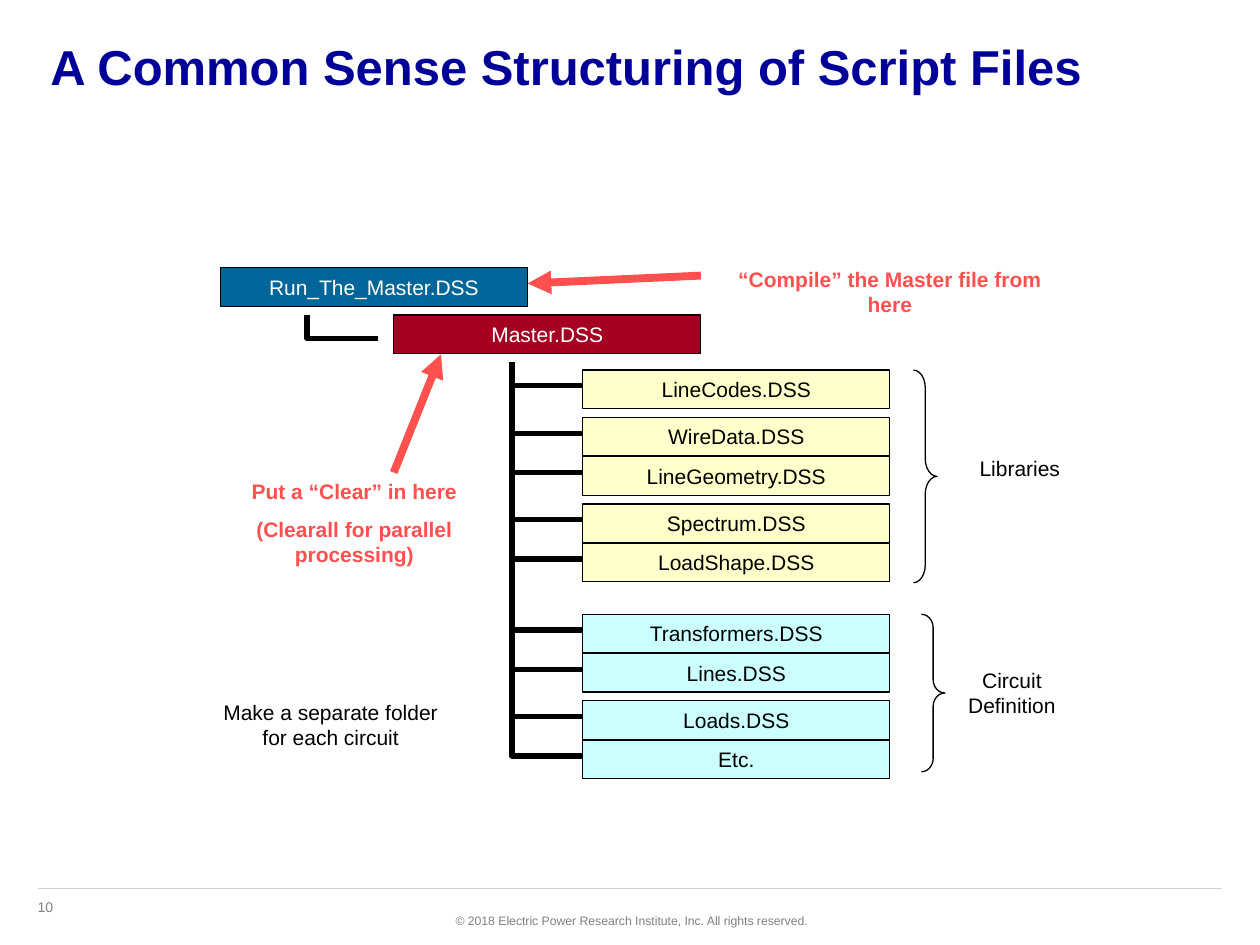
from lxml import etree
from pptx import Presentation
from pptx.dml.color import RGBColor
from pptx.enum.shapes import MSO_CONNECTOR as CONNECTOR, MSO_SHAPE as SHAPE
from pptx.enum.text import MSO_ANCHOR as ANCHOR, MSO_AUTO_SIZE as AUTO_SIZE, PP_ALIGN as ALIGN
from pptx.oxml.ns import qn
from pptx.util import Pt

BLACK, WHITE, GREY, CORAL = "000000", "FFFFFF", "808080", "FF5050"
LIBRARY_FILL, CIRCUIT_FILL = "FFFFCC", "CCFFFF"

BOX_WIDTH, BOX_HEIGHT = 175.5, 22
FILE_LEFT, TRUNK_LEFT, TRUNK_TOP = 333, 292.5, 207
JOINT_OFFSET = 9  # from the top of a file box to its branch

LIBRARY_FILES = [
    ("LineCodes.DSS", 211.5),
    ("WireData.DSS", 238.5),
    ("LineGeometry.DSS", 261),
    ("Spectrum.DSS", 288),
    ("LoadShape.DSS", 310.5),
]
CIRCUIT_FILES = [
    ("Transformers.DSS", 351),
    ("Lines.DSS", 373.5),
    ("Loads.DSS", 400.5),
    ("Etc.", 423),
]


def rgb(value):
    return RGBColor.from_string(value)


def set_line(shape, color, width):
    shape.line.color.rgb = rgb(color)
    shape.line.width = Pt(width)


def write(frame, text, color, size=12, bold=False, align=ALIGN.CENTER):
    """Fill a text frame; each line of the text becomes a paragraph, \\v a line break."""
    for index, content in enumerate(text.split("\n")):
        paragraph = frame.add_paragraph() if index else frame.paragraphs[0]
        paragraph.alignment = align
        paragraph.space_before = Pt(7 if index else 0)
        for part_index, part in enumerate(content.split("\v")):
            if part_index:
                paragraph.add_line_break()
            run = paragraph.add_run()
            run.text = part
            run.font.name = "Arial"
            run.font.size = Pt(size)
            run.font.bold = bold
            run.font.color.rgb = rgb(color)


def add_title(slide, text):
    title = slide.shapes.title
    title.left, title.top, title.width, title.height = Pt(21.6), Pt(14.4), Pt(676.8), Pt(57.6)
    frame = title.text_frame
    frame.auto_size = AUTO_SIZE.NONE
    frame.vertical_anchor = ANCHOR.TOP
    frame.margin_top = Pt(6.5)
    write(frame, text, "000099", size=28, bold=True, align=ALIGN.LEFT)


def add_label(slide, text, left, top, width, height, color=BLACK, wrap=True, **style):
    frame = slide.shapes.add_textbox(Pt(left), Pt(top), Pt(width), Pt(height)).text_frame
    frame.word_wrap = wrap
    write(frame, text, color, **style)


def add_file_box(slide, name, left, top, fill, color=BLACK):
    box = slide.shapes.add_shape(SHAPE.RECTANGLE, Pt(left), Pt(top), Pt(BOX_WIDTH), Pt(BOX_HEIGHT))
    box.shadow.inherit = False
    box.fill.solid()
    box.fill.fore_color.rgb = rgb(fill)
    set_line(box, BLACK, 0.75)
    box.text_frame.vertical_anchor = ANCHOR.MIDDLE
    write(box.text_frame, name, color)


def add_brace(slide, left, top, height, curve):
    brace = slide.shapes.add_shape(SHAPE.RIGHT_BRACE, Pt(left), Pt(top), Pt(13.5), Pt(height))
    brace.shadow.inherit = False
    brace.adjustments[0] = curve
    brace.fill.background()
    set_line(brace, BLACK, 0.75)


def add_straight(slide, start, end, color, width, arrow=False):
    line = slide.shapes.add_connector(CONNECTOR.STRAIGHT, *map(Pt, (*start, *end)))
    set_line(line, color, width)
    if arrow:
        etree.SubElement(line.line._get_or_add_ln(), qn("a:tailEnd"), type="triangle")
    etree.SubElement(line._element.spPr, qn("a:effectLst"))


def add_elbow(slide, left, top, bottom, right):
    """Draw a branch that runs down and then to the right."""
    builder = slide.shapes.build_freeform(Pt(left), Pt(top))
    builder.add_line_segments([(Pt(left), Pt(bottom)), (Pt(right), Pt(bottom))], close=False)
    elbow = builder.convert_to_shape()
    elbow.shadow.inherit = False
    elbow.fill.background()
    set_line(elbow, BLACK, 3)


def add_file_tree(slide):
    add_file_box(slide, "Run_The_Master.DSS", 126, 153, "006699", WHITE)
    add_file_box(slide, "Master.DSS", 225, 180, "A50021", WHITE)
    add_elbow(slide, 175.5, 180, 193.5, 216)

    joint = TRUNK_TOP
    for files, fill in ((LIBRARY_FILES, LIBRARY_FILL), (CIRCUIT_FILES, CIRCUIT_FILL)):
        for name, top in files:
            add_file_box(slide, name, FILE_LEFT, top, fill)
            add_elbow(slide, TRUNK_LEFT, joint, top + JOINT_OFFSET, FILE_LEFT)
            joint = top + JOINT_OFFSET


def add_annotations(slide):
    add_brace(slide, 522, 211.5, 121.5, 0.75)
    add_label(slide, "Libraries", 549, 256.5, 67.5, 22)
    add_brace(slide, 526.5, 351, 90, 0.56)
    add_label(slide, "Circuit\vDefinition", 544.5, 378, 67.5, 36)
    add_label(slide, "Make a separate folder for each circuit", 112.5, 396, 153, 36)

    add_label(slide, "“Compile” the Master file from here", 401.5, 148.5, 214, 36, CORAL, bold=True)
    add_straight(slide, (400.5, 157.5), (301.5, 162), CORAL, 4.5, arrow=True)
    add_label(slide, "Put a “Clear” in here\n(Clearall for parallel processing)",
              130.5, 270, 144, 58.5, CORAL, bold=True)
    add_straight(slide, (225, 270), (252, 202.5), CORAL, 4.5, arrow=True)


def add_footer(slide):
    add_straight(slide, (21.6, 507.6), (698.4, 507.6), "D1D1D1", 0.75)
    add_label(slide, "10", 14.4, 509.8, 47.5, 17, GREY, size=8, align=ALIGN.LEFT)
    add_label(slide, "© 2018 Electric Power Research Institute, Inc. All rights reserved.",
              251.3, 518.4, 217.4, 15.8, GREY, wrap=False, size=7, align=ALIGN.RIGHT)


def main():
    presentation = Presentation()
    presentation.slide_width, presentation.slide_height = Pt(720), Pt(540)
    slide = presentation.slides.add_slide(presentation.slide_layouts[5])
    add_title(slide, "A Common Sense Structuring of Script Files")
    add_file_tree(slide)
    add_annotations(slide)
    add_footer(slide)
    presentation.save("out.pptx")


if __name__ == "__main__":
    main()
